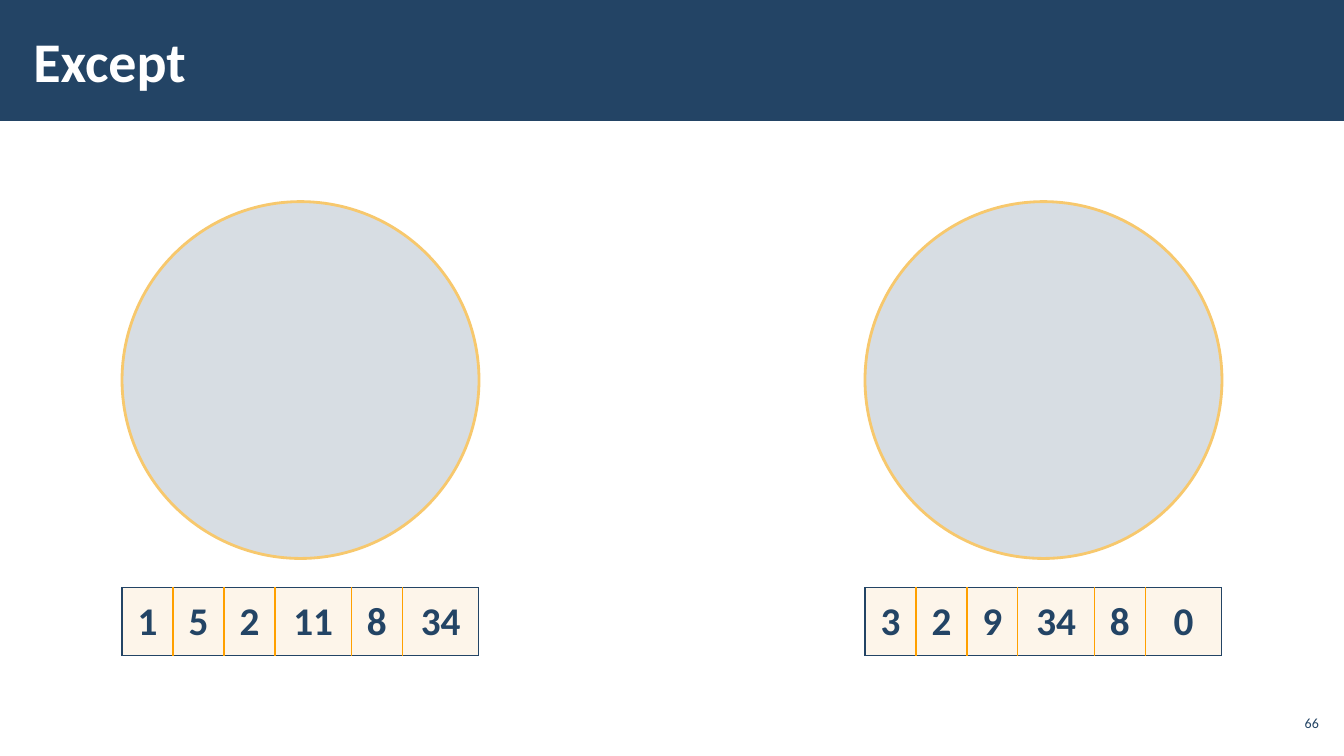
from dataclasses import dataclass

from lxml import etree
from pptx import Presentation
from pptx import util as u
from pptx.dml.color import RGBColor
from pptx.enum import shapes, text
from pptx.oxml import ns

WIDE, HIGH = u.Inches(13.33), u.Inches(7.5)
NAVY, GOLD, AMBER, CREAM, WHITE = "234465", "F7C86D", "FFA000", "FDF5EA", "FFFFFF"
FONT = "Calibri"
SPANS = (2, 2, 2, 3, 2, 3)
EDGE, SIDE = 9.08, 26.56


@dataclass(frozen=True)
class Box:
    left: float
    top: float
    width: float
    height: float

    def place(self) -> tuple[int, int, int, int]:
        return (int(WIDE * self.left / 100), int(HIGH * self.top / 100),
                int(WIDE * self.width / 100), int(HIGH * self.height / 100))


@dataclass(frozen=True)
class Group:
    left: float
    items: tuple[str, ...]


GROUPS = (
    Group(100 - EDGE - SIDE, ("3", "2", "9", "34", "8", "0")),
    Group(EDGE, ("1", "5", "2", "11", "8", "34")),
)


def tint(hue: str) -> RGBColor:
    return RGBColor.from_string(hue)


def paint(fill, hue: str) -> None:
    fill.solid()
    fill.fore_color.rgb = tint(hue)


def write(para, words: str, size: float, hue: str, bold: bool, align) -> None:
    para.alignment = align
    run = para.add_run()
    run.text = words
    font = run.font
    font.name, font.size, font.bold = FONT, u.Pt(size), bold
    font.color.rgb = tint(hue)


def inset(frame, across: float, down: float) -> None:
    frame.margin_left = frame.margin_right = u.Inches(across)
    frame.margin_top = frame.margin_bottom = u.Inches(down)
    frame.vertical_anchor = text.MSO_ANCHOR.MIDDLE
    frame.word_wrap = True


def border(cell, hues: dict[str, str]) -> None:
    props = cell._tc.get_or_add_tcPr()
    for spot, (side, hue) in enumerate(hues.items()):
        line = etree.Element(ns.qn(f"a:ln{side}"), w=str(u.Pt(1)))
        fill = etree.SubElement(line, ns.qn("a:solidFill"))
        etree.SubElement(fill, ns.qn("a:srgbClr"), val=hue)
        props.insert(spot, line)


def draw_band(slide) -> None:
    band = slide.shapes.add_shape(
        shapes.MSO_SHAPE.RECTANGLE, *Box(0, 0, 100, 16).place())
    band.shadow.inherit = False
    paint(band.fill, NAVY)
    band.line.fill.background()
    slide.shapes._spTree.insert(2, band._element)


def draw_title(slide, words: str) -> None:
    title = slide.shapes.title
    title.left, title.top, title.width, title.height = Box(1.58, 1.47, 78, 12.93).place()
    inset(title.text_frame, 0.12, 0.04)
    write(title.text_frame.paragraphs[0], words, 40, WHITE, True, text.PP_ALIGN.LEFT)


def draw_page(slide, words: str) -> None:
    page = slide.shapes.add_textbox(*Box(94.9, 93.33, 3.53, 4.53).place())
    inset(page.text_frame, 0.04, 0.04)
    write(page.text_frame.paragraphs[0], words, 10, NAVY, False, text.PP_ALIGN.RIGHT)


def draw_disc(slide, group: Group) -> None:
    disc = slide.shapes.add_shape(
        shapes.MSO_SHAPE.OVAL, *Box(group.left, 26.67, SIDE, 47.2).place())
    disc.shadow.inherit = False
    paint(disc.fill, NAVY)
    shade = disc._element.spPr.find(ns.qn("a:solidFill"))[0]
    etree.SubElement(shade, ns.qn("a:alpha"), val="18000")
    disc.line.color.rgb = tint(GOLD)
    disc.line.width = u.Pt(2)


def draw_row(slide, group: Group) -> None:
    count = len(group.items)
    box = Box(group.left, 77.73, SIDE, 8.93).place()
    table = slide.shapes.add_table(1, count, *box).table
    table.first_row = table.horz_banding = False
    for spot, (item, span) in enumerate(zip(group.items, SPANS)):
        table.columns[spot].width = box[2] * span // sum(SPANS)
        cell = table.cell(0, spot)
        paint(cell.fill, CREAM)
        cell.margin_left = cell.margin_right = u.Inches(0.13)
        cell.margin_top = cell.margin_bottom = u.Inches(0.05)
        cell.vertical_anchor = text.MSO_ANCHOR.MIDDLE
        para = cell.text_frame.paragraphs[0]
        para.line_spacing = 0.95
        write(para, item, 28, NAVY, True, text.PP_ALIGN.CENTER)
        border(cell, {
            "L": NAVY if spot == 0 else AMBER,
            "R": NAVY if spot == count - 1 else AMBER,
            "T": NAVY,
            "B": NAVY,
        })


def main() -> None:
    deck = Presentation()
    deck.slide_width, deck.slide_height = WIDE, HIGH
    slide = deck.slides.add_slide(deck.slide_layouts.get_by_name("Title Only"))
    draw_band(slide)
    draw_title(slide, "Except")
    draw_page(slide, "66")
    for draw in (draw_disc, draw_row):
        for group in GROUPS:
            draw(slide, group)
    deck.save("out.pptx")


if __name__ == "__main__":
    main()
